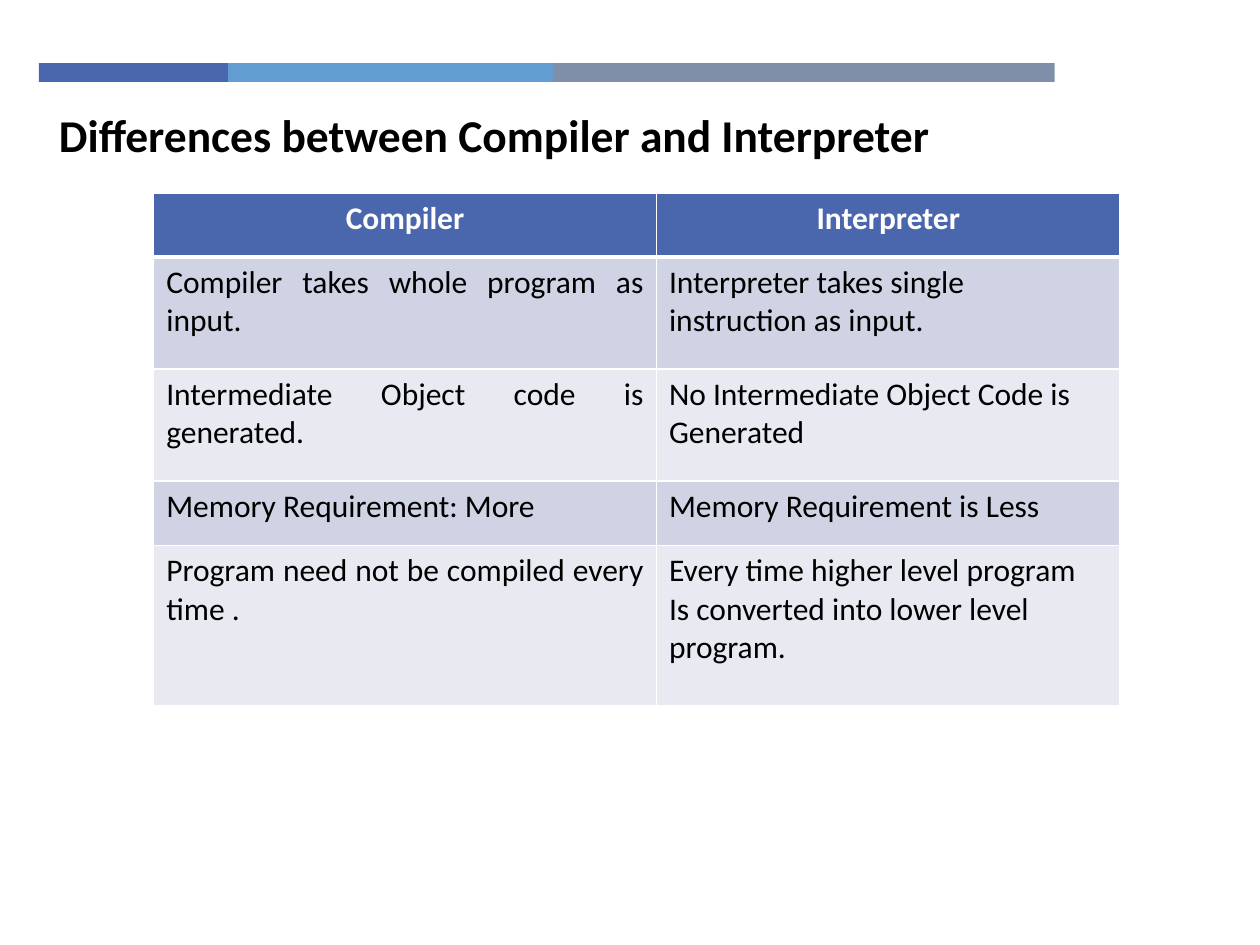
from lxml.etree import SubElement
from pptx import Presentation
from pptx.dml.color import RGBColor as RGB
from pptx.enum.shapes import MSO_SHAPE as Shape
from pptx.enum.text import PP_ALIGN as Align
from pptx.oxml.ns import qn
from pptx.util import Inches, Pt

HUES = {
    "blue": "4A66AC", "sky": "629DD1", "slate": "7F8FA9",
    "band": "D0D3E3", "pale": "E9EAF1", "white": "FFFFFF", "black": "000000",
}
BARS = [("blue", 1.5), ("sky", 2.58), ("slate", 3.98)]
COLS = [3.99, 3.68]
ROWS = [
    (0.51, "Compiler", "Interpreter"),
    (0.89, "Compiler takes whole program as input. ",
     "Interpreter takes single instruction as input."),
    (0.89, "Intermediate Object code is generated.",
     "No Intermediate Object Code is Generated"),
    (0.51, "Memory Requirement: More", "Memory Requirement is Less"),
    (1.27, "Program need not be compiled every time . ",
     "Every time higher level program\nIs converted into lower level program."),
]


def paint(fill, hue):
    fill.solid()
    fill.fore_color.rgb = RGB.from_string(HUES[hue])


def style(para, size, hue, bold, align=Align.LEFT):
    para.alignment = align
    font = para.font
    font.name, font.size, font.bold = "Calibri", Pt(size), bold
    font.color.rgb = RGB.from_string(HUES[hue])


def add_bar(slide, left, width, hue):
    bar = slide.shapes.add_shape(
        Shape.RECTANGLE, Inches(left), Inches(0.5), Inches(width), Inches(0.15))
    bar.shadow.inherit = False
    paint(bar.fill, hue)
    bar.line.fill.background()


def add_title(slide, text):
    box = slide.shapes.add_textbox(
        Inches(0.37), Inches(0.8), Inches(7.16), Inches(0.54))
    box.text_frame.word_wrap = True
    box.text_frame.text = text
    style(box.text_frame.paragraphs[0], 26, "black", True)


def add_edges(cell, top, base):
    # Border lines must come before the fill in the cell properties
    props = cell._tc.get_or_add_tcPr()
    for side, width in (("L", 1), ("R", 1), ("T", top), ("B", base)):
        line = SubElement(props, qn(f"a:ln{side}"), w=str(Pt(width)))
        fill = SubElement(line, qn("a:solidFill"))
        SubElement(fill, qn("a:srgbClr"), val=HUES["white"])


def fill_cell(cell, text, row, col):
    add_edges(cell, 3 if row == 1 else 1, 3 if row == 0 else 1)
    head = row == 0
    paint(cell.fill, "blue" if head else "band" if row % 2 else "pale")
    cell.text = text
    if head:
        align = Align.CENTER
    else:
        align = Align.JUSTIFY if col == 0 and row != 3 else Align.LEFT
    for para in cell.text_frame.paragraphs:
        style(para, 18, "white" if head else "black", head, align)


def add_grid(slide):
    high = sum(row[0] for row in ROWS)
    table = slide.shapes.add_table(
        len(ROWS), len(COLS), Inches(1.22), Inches(1.53),
        Inches(sum(COLS)), Inches(high)).table
    for col, width in enumerate(COLS):
        table.columns[col].width = Inches(width)
    for row, (height, *texts) in enumerate(ROWS):
        table.rows[row].height = Inches(height)
        for col, text in enumerate(texts):
            fill_cell(table.cell(row, col), text, row, col)


def main():
    deck = Presentation()
    deck.slide_width, deck.slide_height = Inches(10), Inches(7.5)
    slide = deck.slides.add_slide(deck.slide_layouts[6])

    # Colour strip
    left = 0.31
    for hue, width in BARS:
        add_bar(slide, left, width, hue)
        left += width

    # Heading and comparison table
    add_title(slide, "Differences between Compiler and Interpreter")
    add_grid(slide)
    deck.save("out.pptx")


if __name__ == "__main__":
    main()
